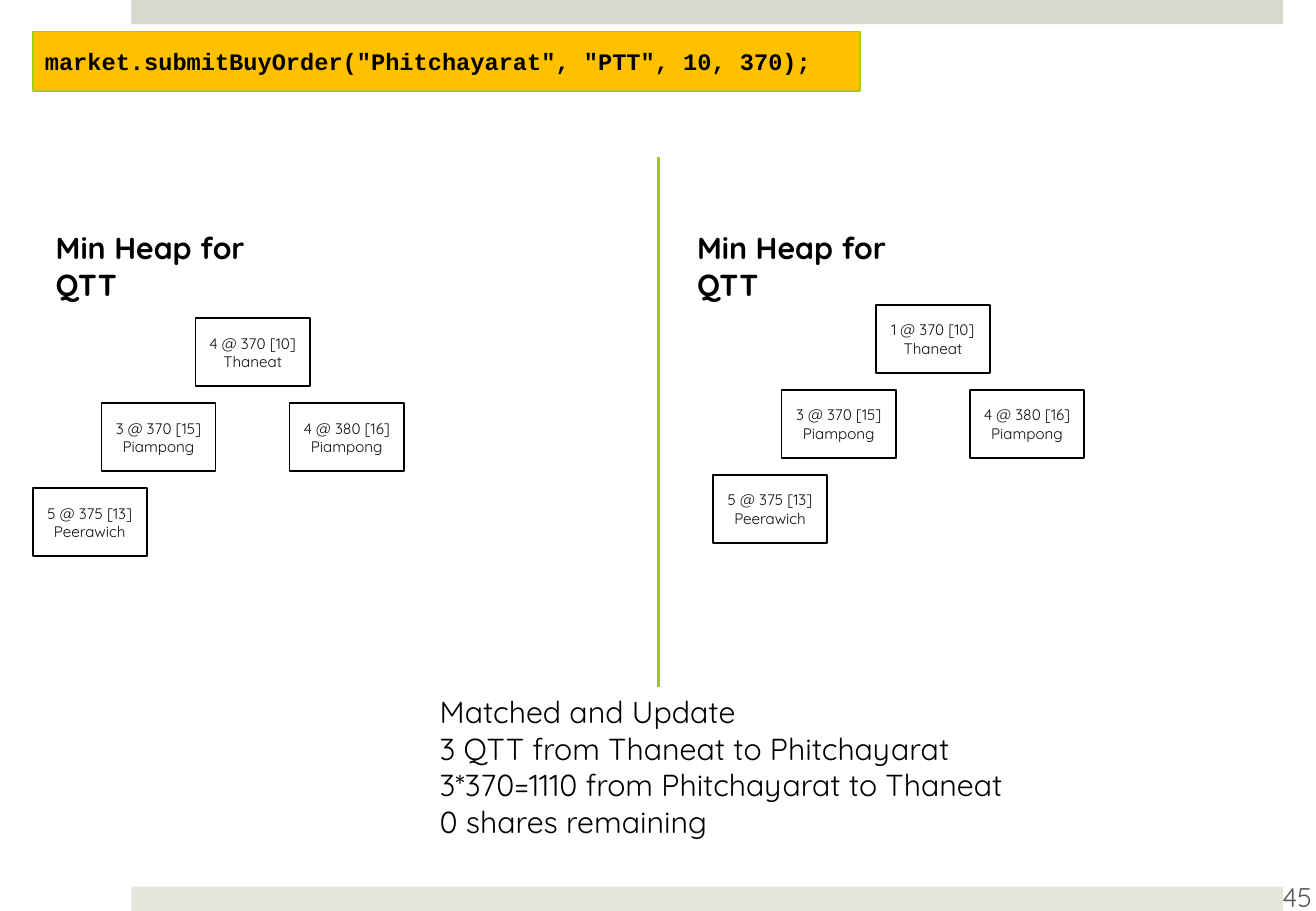
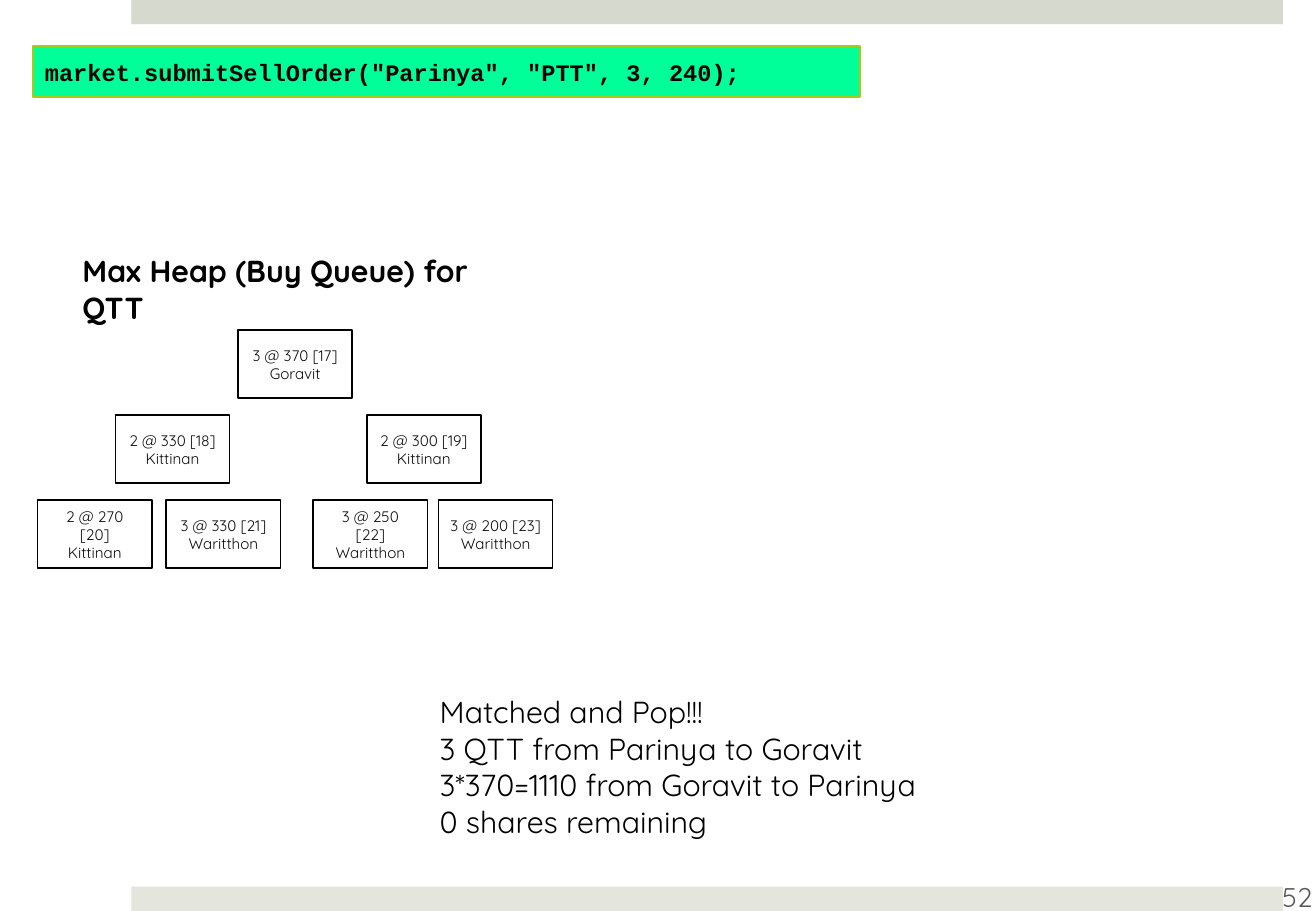
import lxml.etree
import pptx
import pptx.dml.color
import pptx.enum.shapes
import pptx.enum.text
import pptx.oxml.ns
import pptx.util

Pt = pptx.util.Pt
ALIGN = pptx.enum.text.PP_ALIGN
ANCHOR = pptx.enum.text.MSO_ANCHOR

COLORS = {
    "black": "000000",
    "node text": "0D0D0D",
    "number": "595959",
    "top band": "D6D9CD",
    "bottom band": "E4E6DE",
    "divider": "A2C816",
    "call border": "A5CC12",
    "buy": "FFC000",
    "sell": "00FF99",
}
TEXT_FONT = "Quicksand"
CODE_FONT = "Courier New"
NODE_WIDTH, NODE_HEIGHT, ROW_PITCH = 67.7, 40.3, 50.4
SMALL_HEAP_OFFSETS = [[96.5], [40.7, 152.3], [0]]
FULL_HEAP_OFFSETS = [[118.8], [46.1, 195.1], [0, 76.3, 163.4, 237.6]]


def color(name):
    return pptx.dml.color.RGBColor.from_string(COLORS[name])


def place(shape, box):
    shape.left, shape.top, shape.width, shape.height = (Pt(length) for length in box)


def write(shape, text, size=18, font=TEXT_FONT, ink="black", bold=False,
          align=ALIGN.LEFT, anchor=ANCHOR.TOP):
    frame = shape.text_frame
    frame.word_wrap = True
    frame.auto_size = pptx.enum.text.MSO_AUTO_SIZE.NONE
    frame.vertical_anchor = anchor
    for index, line in enumerate(text.split("\n")):
        para = frame.add_paragraph() if index else frame.paragraphs[0]
        para.alignment = align
        para.space_before = Pt(0)
        span = para.add_run()
        span.text = line
        span.font.size = Pt(size)
        span.font.name = font
        span.font.bold = bold
        span.font.color.rgb = color(ink)


def remove_bullets(shape):
    for para in shape.text_frame.paragraphs:
        properties = para._p.get_or_add_pPr()
        properties.set("marL", "0")
        properties.set("indent", "0")
        lxml.etree.SubElement(properties, pptx.oxml.ns.qn("a:buNone"))


def add_text(page, box, text, **style):
    shape = page.shapes.add_textbox(*(Pt(length) for length in box))
    write(shape, text, **style)


def add_rectangle(page, box, fill=None, border=None):
    shape = page.shapes.add_shape(
        pptx.enum.shapes.MSO_SHAPE.RECTANGLE, *(Pt(length) for length in box))
    shape.shadow.inherit = False
    paint(shape, fill, border)
    return shape


def paint(shape, fill, border):
    if fill:
        shape.fill.solid()
        shape.fill.fore_color.rgb = color(fill)
    else:
        shape.fill.background()
    if border:
        shape.line.color.rgb = color(border)
        shape.line.width = Pt(1)
    else:
        shape.line.fill.background()


def add_master_bands(deck, page):
    tree = deck.slide_master.element.cSld.spTree
    for number, (top, fill) in enumerate([(0, "top band"), (525.6, "bottom band")], 101):
        band = add_rectangle(page, (77.8, top, 682.6, 14.4), fill)
        band.element.nvSpPr.cNvPr.set("id", str(number))
        tree.append(band.element)


def add_call(page, box, code, fill):
    title = page.shapes.title
    place(title, box)
    paint(title, fill, "call border")
    write(title, code, size=14, font=CODE_FONT, bold=True, anchor=ANCHOR.MIDDLE)


def add_result(page, box, text):
    body = page.placeholders[1]
    place(body, box)
    write(body, text)
    remove_bullets(body)


def add_heap(page, left, top, offsets, levels):
    for row, (level_offsets, orders) in enumerate(zip(offsets, levels)):
        for offset, order in zip(level_offsets, orders):
            box = (left + offset, top + row * ROW_PITCH, NODE_WIDTH, NODE_HEIGHT)
            node = add_rectangle(page, box, border="black")
            write(node, order, size=9, ink="node text",
                  align=ALIGN.CENTER, anchor=ANCHOR.MIDDLE)


def add_divider(page, x, top, bottom):
    divider = page.shapes.add_connector(
        pptx.enum.shapes.MSO_CONNECTOR.STRAIGHT, Pt(x), Pt(top), Pt(x), Pt(bottom))
    divider.line.color.rgb = color("divider")
    divider.line.width = Pt(2)
    lxml.etree.SubElement(divider.element.spPr, pptx.oxml.ns.qn("a:effectLst"))


def add_page(deck, number):
    page = deck.slides.add_slide(deck.slide_layouts[1])
    add_text(page, (749.5, 517, 38.9, 28.8), number, size=16, ink="number",
             align=ALIGN.CENTER, anchor=ANCHOR.MIDDLE)
    return page


def build_buy_page(deck):
    page = add_page(deck, "45")
    add_call(page, (19.4, 18.7, 490.3, 35.3),
             'market.submitBuyOrder("Phitchayarat", "PTT", 10, 370);', "buy")
    add_result(page, (253.4, 407.5, 378, 94.3),
               "Matched and Update\n3 QTT from Thaneat to Phitchayarat\n"
               "3*370=1110 from Phitchayarat to Thaneat\n0 shares remaining")
    add_divider(page, 390.2, 92.9, 407.5)
    lower_levels = [["3 @ 370 [15]\nPiampong", "4 @ 380 [16]\nPiampong"],
                    ["5 @ 375 [13]\nPeerawich"]]
    for heading_left, heap_left, heap_top, root in [
            (25.9, 19.4, 188.6, "4 @ 370 [10]\nThaneat"),
            (406.1, 422.6, 180.7, "1 @ 370 [10]\nThaneat")]:
        add_text(page, (heading_left, 132.5, 157, 28.8), "Min Heap for QTT", bold=True)
        add_heap(page, heap_left, heap_top, SMALL_HEAP_OFFSETS, [[root]] + lower_levels)
    return page


def build_sell_page(deck):
    page = add_page(deck, "52")
    add_call(page, (19.4, 27.4, 490.3, 30.2),
             'market.submitSellOrder("Parinya", "PTT", 3, 240);', "sell")
    add_text(page, (41.8, 146.2, 280, 28.8), "Max Heap (Buy Queue) for QTT", bold=True)
    add_result(page, (253.4, 407.5, 323.3, 94.3),
               "Matched and Pop!!!\n3 QTT from Parinya to Goravit\n"
               "3*370=1110 from Goravit to Parinya\n0 shares remaining")
    add_heap(page, 22.3, 195.8, FULL_HEAP_OFFSETS, [
        ["3 @ 370 [17]\nGoravit"],
        ["2 @ 330 [18]\nKittinan", "2 @ 300 [19]\nKittinan"],
        ["2 @ 270 [20]\nKittinan", "3 @ 330 [21]\nWaritthon",
         "3 @ 250 [22]\nWaritthon", "3 @ 200 [23]\nWaritthon"],
    ])


def main():
    deck = pptx.Presentation()
    deck.slide_width, deck.slide_height = Pt(780), Pt(540)
    add_master_bands(deck, build_buy_page(deck))
    build_sell_page(deck)
    deck.save("out.pptx")


if __name__ == "__main__":
    main()
